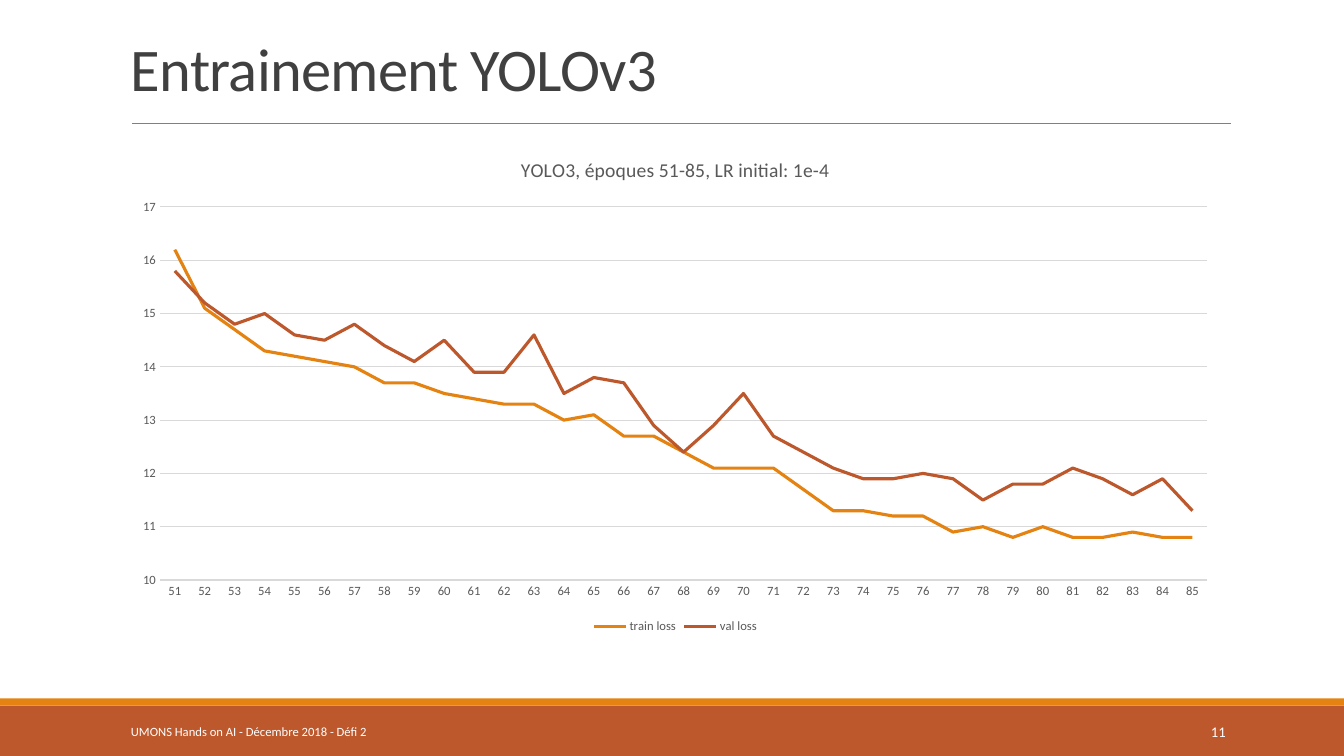
from lxml import etree
from pptx import Presentation
from pptx import util as u
from pptx.chart import data as chart_data
from pptx.dml import color
from pptx.enum import chart as ch, shapes, text
from pptx.oxml import ns

FONT = "Calibri"
COLORS = {
    "footer": "BD582C",
    "stripe": "E48312",
    "rule": "808080",
    "title": "404040",
    "label": "595959",
    "grid": "D9D9D9",
    "white": "FFFFFF",
}

EPOCHS = range(51, 86)
LOSSES = {
    "train loss": ("stripe", [
        16.2, 15.1, 14.7, 14.3, 14.2, 14.1, 14, 13.7, 13.7, 13.5, 13.4, 13.3,
        13.3, 13, 13.1, 12.7, 12.7, 12.4, 12.1, 12.1, 12.1, 11.7, 11.3, 11.3,
        11.2, 11.2, 10.9, 11, 10.8, 11, 10.8, 10.8, 10.9, 10.8, 10.8]),
    "val loss": ("footer", [
        15.8, 15.2, 14.8, 15, 14.6, 14.5, 14.8, 14.4, 14.1, 14.5, 13.9, 13.9,
        14.6, 13.5, 13.8, 13.7, 12.9, 12.4, 12.9, 13.5, 12.7, 12.4, 12.1, 11.9,
        11.9, 12, 11.9, 11.5, 11.8, 11.8, 12.1, 11.9, 11.6, 11.9, 11.3]),
}


def rgb(name):
    return color.RGBColor.from_string(COLORS[name])


def style_font(font, size, name):
    font.name = FONT
    font.size = u.Pt(size)
    font.bold = False
    font.color.rgb = rgb(name)


def style_line(line, name, width):
    line.color.rgb = rgb(name)
    line.width = u.Pt(width)


def add_band(slide, left, top, width, height, name):
    band = slide.shapes.add_shape(
        shapes.MSO_SHAPE.RECTANGLE, u.Cm(left), u.Cm(top), u.Cm(width), u.Cm(height))
    band.shadow.inherit = False
    band.fill.solid()
    band.fill.fore_color.rgb = rgb(name)
    band.line.fill.background()


def add_label(slide, left, top, width, height, words, size, name,
              align=text.PP_ALIGN.LEFT, anchor=text.MSO_ANCHOR.MIDDLE):
    frame = slide.shapes.add_textbox(
        u.Cm(left), u.Cm(top), u.Cm(width), u.Cm(height)).text_frame
    frame.word_wrap = True
    frame.vertical_anchor = anchor
    paragraph = frame.paragraphs[0]
    paragraph.alignment = align
    run = paragraph.add_run()
    run.text = words
    style_font(run.font, size, name)
    return paragraph


def add_heading(slide, left, top, width, height):
    # Title, sitting on the bottom of its box
    title = add_label(slide, left, top, width, height, "Entrainement YOLOv3",
                      43.2, "title", anchor=text.MSO_ANCHOR.BOTTOM)
    title.line_spacing = 0.85
    title.runs[0].font._element.set("spc", "-50")

    # Rule below the title
    rule_y = u.Cm(top + height + 0.35)
    rule = slide.shapes.add_connector(
        shapes.MSO_CONNECTOR.STRAIGHT, u.Cm(left + 0.28), rule_y,
        u.Cm(left + width + 0.02), rule_y)
    style_line(rule.line, "rule", 0.5)
    etree.SubElement(rule._element.spPr, ns.qn("a:effectLst"))


def set_plot_layout(chart, **fractions):
    plot_area = chart._chartSpace.chart.plotArea
    for old_layout in plot_area.findall(ns.qn("c:layout")):
        plot_area.remove(old_layout)
    layout = etree.Element(ns.qn("c:layout"))
    manual = etree.SubElement(layout, ns.qn("c:manualLayout"))
    settings = {"layoutTarget": "inner", "xMode": "edge", "yMode": "edge", **fractions}
    for tag, value in settings.items():
        etree.SubElement(manual, ns.qn(f"c:{tag}")).set("val", str(value))
    plot_area.insert(0, layout)


def add_loss_chart(slide, left, top, width, height):
    losses = chart_data.CategoryChartData()
    losses.categories = [str(epoch) for epoch in EPOCHS]
    for name, (_, values) in LOSSES.items():
        losses.add_series(name, values)
    chart = slide.shapes.add_chart(
        ch.XL_CHART_TYPE.LINE, u.Cm(left), u.Cm(top), u.Cm(width), u.Cm(height),
        losses).chart
    style_font(chart.font, 10, "label")

    # Chart title and legend
    chart.has_title = True
    heading = chart.chart_title.text_frame.paragraphs[0].add_run()
    heading.text = "YOLO3, époques 51-85, LR initial: 1e-4"
    style_font(heading.font, 14, "label")
    chart.chart_title.include_in_layout = False
    chart.has_legend = True
    chart.legend.position = ch.XL_LEGEND_POSITION.BOTTOM
    chart.legend.include_in_layout = False
    style_font(chart.legend.font, 9, "label")

    # Axes
    epochs, loss = chart.category_axis, chart.value_axis
    for axis in (epochs, loss):
        axis.major_tick_mark = axis.minor_tick_mark = ch.XL_TICK_MARK.NONE
        style_font(axis.tick_labels.font, 9, "label")
    style_line(epochs.format.line, "grid", 0.75)
    loss.format.line.fill.background()
    loss.minimum_scale, loss.maximum_scale, loss.major_unit = 10, 17, 1
    loss.has_major_gridlines = True
    style_line(loss.major_gridlines.format.line, "grid", 0.75)

    # Curves
    plot = chart.plots[0]
    plot.vary_by_categories = False
    for curve in plot.series:
        curve.smooth = False
        curve.marker.style = ch.XL_MARKER_STYLE.NONE
        style_line(curve.format.line, LOSSES[curve.name][0], 2.25)
    set_plot_layout(chart, x=0.035, y=0.14, w=0.945, h=0.745)


def add_footer(slide, left, top, width, height):
    # Bands
    stripe = 0.18
    add_band(slide, left, top, width, height, "footer")
    add_band(slide, left, top - stripe, width, stripe, "stripe")

    # Event name and slide number
    label_top, label_height = top + 0.15, 1.02
    add_label(slide, left + 3.05, label_top, 6.86, label_height,
              "UMONS Hands on AI - Décembre 2018 - Défi 2", 9, "white")
    add_label(slide, left + 27.51, label_top, 3.63, label_height, "11", 10.5,
              "white", align=text.PP_ALIGN.RIGHT)


def main():
    deck = Presentation()
    deck.slide_width, deck.slide_height = u.Cm(33.87), u.Cm(19.05)
    slide = deck.slides.add_slide(deck.slide_layouts[6])
    add_footer(slide, 0, 17.78, 33.87, 1.27)
    add_heading(slide, 3.05, 0.79, 27.94, 1.96)
    add_loss_chart(slide, 3.05, 3.45, 27.94, 12.62)
    deck.save("out.pptx")


if __name__ == "__main__":
    main()
